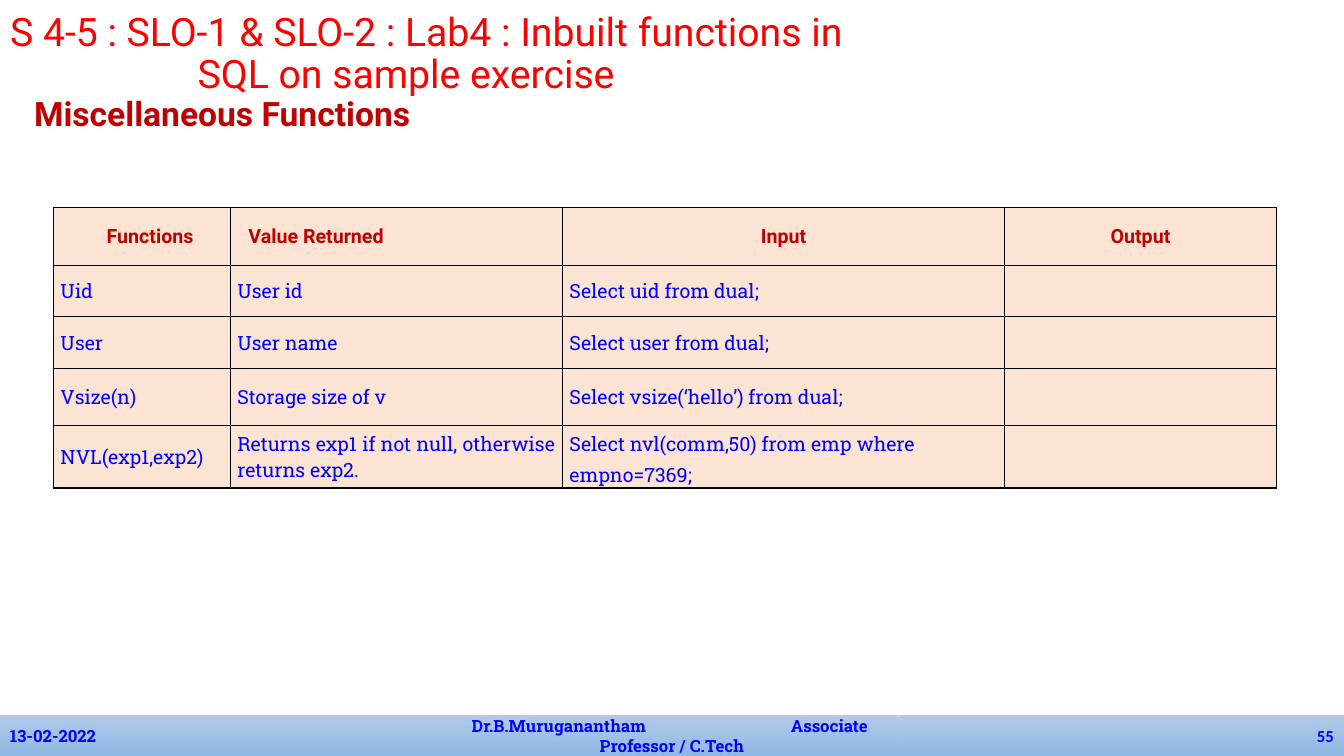
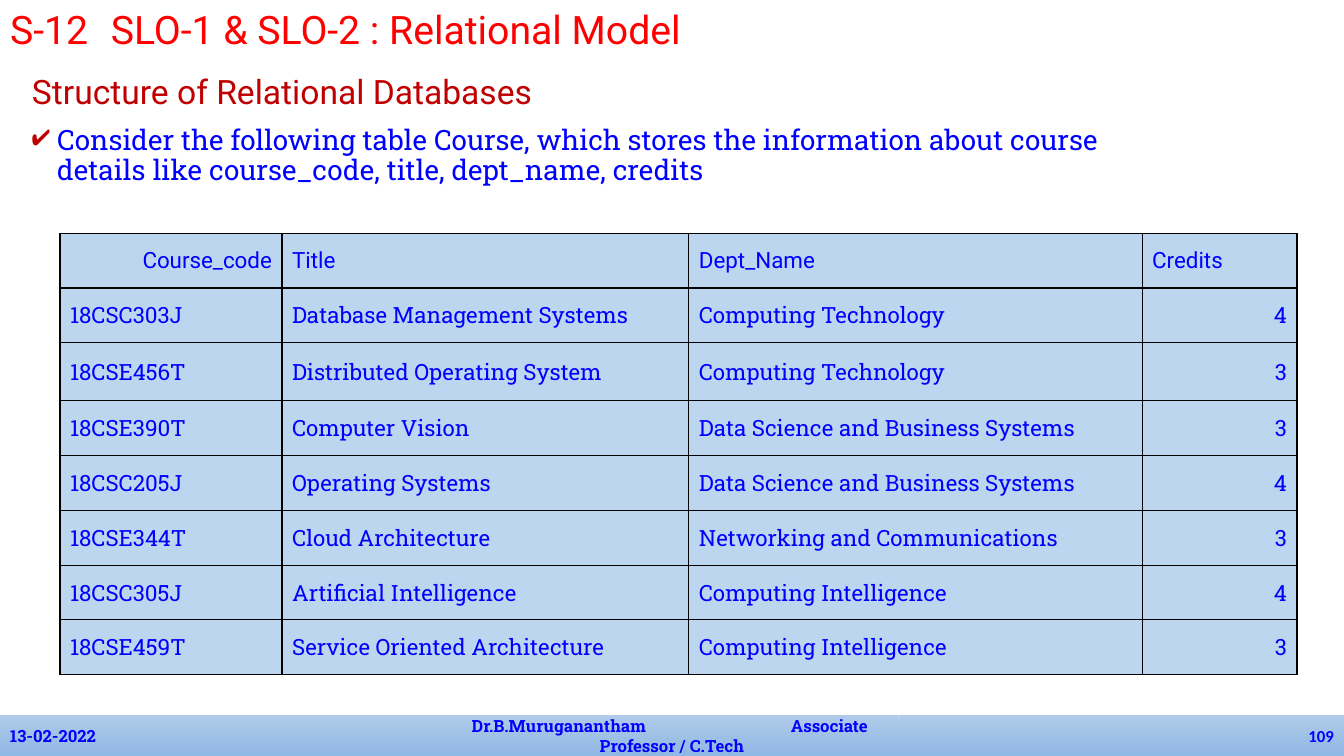
from dataclasses import dataclass

from lxml import etree
from pptx import Presentation
from pptx import util as u
from pptx.dml import color
from pptx.enum import shapes, text
from pptx.oxml import ns

Pt = u.Pt
LEFT, CENTER, RIGHT, JUSTIFY = (
    text.PP_ALIGN.LEFT,
    text.PP_ALIGN.CENTER,
    text.PP_ALIGN.RIGHT,
    text.PP_ALIGN.JUSTIFY,
)


@dataclass(frozen=True)
class Theme:
    """Colours, fonts and type sizes of the deck."""

    red: str = "FF0000"
    crimson: str = "C00000"
    blue: str = "0000FF"
    black: str = "000000"
    peach: str = "FBE4D4"
    sky: str = "BBD6EE"
    band: tuple = ("B0CAE9", "90B8E4")
    sans: str = "Roboto"
    slab: str = "Roboto Slab"
    number: str = "Calibri"
    title_size: int = 28
    heading_size: int = 24
    bullet_size: int = 20
    course_size: int = 16
    function_size: int = 14
    footer_size: int = 12


THEME = Theme()


@dataclass(frozen=True)
class Style:
    """Look of one paragraph."""

    font: str
    size: int
    color: str
    bold: bool = False
    align: int = LEFT
    spacing: float = 1.0


@dataclass(frozen=True)
class Cell:
    """Text, look and side margins of one table cell."""

    text: str
    style: Style
    left: float = 7.2
    right: float = 7.2


def rgb(value):
    """Turn a hex string into a colour."""
    return color.RGBColor.from_string(value)


def add_xml(parent, tag, **attributes):
    """Append one drawing element and return it."""
    return etree.SubElement(parent, ns.qn(tag), attributes)


def format_para(para, words, style):
    """Fill a paragraph and apply its style."""
    para.text = words
    para.alignment = style.align
    para.line_spacing = style.spacing
    font = para.font
    font.name, font.size, font.bold = style.font, Pt(style.size), style.bold
    font.color.rgb = rgb(style.color)


def set_hanging(para, indent):
    """Hang the first line of a paragraph to the left of the others."""
    properties = para._p.get_or_add_pPr()
    properties.set("marL", str(Pt(indent)))
    properties.set("indent", str(-Pt(indent)))
    return properties


def place_title(page, words, box, hanging=0, spacing=1.0):
    """Move and format the title placeholder."""
    title = page.shapes.title
    title.left, title.top, title.width, title.height = map(Pt, box)
    frame = title.text_frame
    frame.word_wrap = True
    frame.auto_size = text.MSO_AUTO_SIZE.NONE
    frame.vertical_anchor = text.MSO_ANCHOR.TOP
    para = frame.paragraphs[0]
    set_hanging(para, hanging)
    style = Style(THEME.sans, THEME.title_size, THEME.red, spacing=spacing)
    format_para(para, words, style)


def add_body(page, box, heading, bold=False, bullet=None):
    """Add a heading and, if given, a ticked point below it."""
    frame = page.shapes.add_textbox(*map(Pt, box)).text_frame
    frame.word_wrap = True
    style = Style(THEME.sans, THEME.heading_size, THEME.crimson, bold, spacing=0.9)
    format_para(frame.paragraphs[0], heading, style)
    if bullet:
        para = frame.add_paragraph()
        properties = set_hanging(para, 18)
        add_xml(add_xml(properties, "a:buClr"), "a:srgbClr", val=THEME.crimson)
        add_xml(properties, "a:buChar", char="✔")
        para.space_before = Pt(10)
        style = Style(THEME.slab, THEME.bullet_size, THEME.blue, spacing=0.9)
        format_para(para, bullet, style)


def add_band(page, box, lines, style, inset=7.2, tab=None):
    """Add one gradient part of the footer with its text."""
    band = page.shapes.add_shape(shapes.MSO_SHAPE.RECTANGLE, *map(Pt, box))
    band.shadow.inherit = False
    band.line.fill.background()
    band.fill.gradient()
    band.fill.gradient_angle = 270
    for stop, value, position in zip(band.fill.gradient_stops, THEME.band, (0, 1)):
        stop.color.rgb = rgb(value)
        stop.position = position
    frame = band.text_frame
    frame.word_wrap = True
    frame.vertical_anchor = text.MSO_ANCHOR.MIDDLE
    frame.margin_left = frame.margin_right = Pt(inset)
    for index, (words, align) in enumerate(lines):
        para = frame.add_paragraph() if index else frame.paragraphs[0]
        if tab and "\t" in words:
            stops = add_xml(para._p.get_or_add_pPr(), "a:tabLst")
            add_xml(stops, "a:tab", pos=str(Pt(tab)), algn="l")
        format_para(para, words, style)
        para.alignment = align


def add_footer(page, number, top=511, height=29):
    """Add the date, author and page number bands."""
    style = Style(THEME.slab, THEME.footer_size, THEME.blue, True)
    numeral = Style(THEME.number, THEME.footer_size, THEME.blue, True)
    side, middle = 318, 324
    author = [
        ("Dr.B.Muruganantham\tAssociate", LEFT),
        ("Professor / C.Tech", CENTER),
    ]
    add_band(page, (0, top, side, height), [("13-02-2022", LEFT)], style)
    add_band(page, (side, top, middle, height), author, style, inset=19, tab=228)
    box = (side + middle, top, side, height)
    add_band(page, box, [(number, RIGHT)], numeral)


def format_cell(cell, content, fill, margin):
    """Give a table cell its border, fill and text."""
    properties = cell._tc.get_or_add_tcPr()
    for side in ("a:lnL", "a:lnR", "a:lnT", "a:lnB"):
        line = add_xml(properties, side, w=str(Pt(1)))
        add_xml(add_xml(line, "a:solidFill"), "a:srgbClr", val=THEME.black)
    cell.fill.solid()
    cell.fill.fore_color.rgb = rgb(fill)
    cell.vertical_anchor = text.MSO_ANCHOR.MIDDLE
    cell.margin_top = cell.margin_bottom = Pt(margin)
    cell.margin_left, cell.margin_right = Pt(content.left), Pt(content.right)
    format_para(cell.text_frame.paragraphs[0], content.text, content.style)


def add_grid(page, corner, widths, heights, rows, fill, margin):
    """Add a bordered table of cells at a corner."""
    box = (*corner, sum(widths), sum(heights))
    frame = page.shapes.add_table(len(heights), len(widths), *map(Pt, box))
    table = frame.table
    table.first_row = table.horz_banding = False
    for column, width in zip(table.columns, widths):
        column.width = Pt(width)
    for row, height, contents in zip(table.rows, heights, rows):
        row.height = Pt(height)
        for cell, content in zip(row.cells, contents):
            format_cell(cell, content, fill, margin)


def function_rows():
    """Build the cells of the function table."""
    size = THEME.function_size

    def head(words, align=LEFT, left=0):
        """Build a header cell."""
        style = Style(THEME.sans, size, THEME.crimson, True, align, 0.98)
        return Cell(words, style, left, 0)

    def entry(words, align=LEFT, spacing=0.96):
        """Build a body cell."""
        style = Style(THEME.slab, size, THEME.blue, False, align, spacing)
        return Cell(words, style, 5, 5 if align == JUSTIFY else 0)

    header = [
        head("Functions", left=38),
        head("Value Returned", left=13),
        head("Input", CENTER),
        head("Output", CENTER),
    ]
    simple = [
        ("Uid", "User id", "Select uid from dual;", ""),
        ("User", "User name", "Select user from dual;", ""),
        ("Vsize(n)", "Storage size of v", "Select vsize(‘hello’) from dual;", ""),
    ]
    last = [
        entry("NVL(exp1,exp2)"),
        entry("Returns exp1 if not null, otherwise returns exp2.", JUSTIFY, 1.0),
        entry("Select nvl(comm,50) from emp where empno=7369;", spacing=1.21),
        entry(""),
    ]
    return [header, *([entry(words) for words in row] for row in simple), last]


def course_rows():
    """Build the cells of the course table."""
    computing = "Computing Technology"
    data = "Data Science and Business Systems"
    intelligence = "Computing Intelligence"
    records = [
        ("Course_code", "Title", "Dept_Name", "Credits"),
        ("18CSC303J", "Database Management Systems", computing, "4"),
        ("18CSE456T", "Distributed Operating System", computing, "3"),
        ("18CSE390T", "Computer Vision", data, "3"),
        ("18CSC205J", "Operating Systems", data, "4"),
        ("18CSE344T", "Cloud Architecture", "Networking and Communications", "3"),
        ("18CSC305J", "Artificial Intelligence", intelligence, "4"),
        ("18CSE459T", "Service Oriented Architecture", intelligence, "3"),
    ]
    rows = []
    for index, record in enumerate(records):
        font = THEME.slab if index else THEME.sans
        aligns = (LEFT, LEFT, LEFT, RIGHT) if index else (RIGHT, LEFT, LEFT, LEFT)
        rows.append([
            Cell(words, Style(font, THEME.course_size, THEME.blue, align=align))
            for words, align in zip(record, aligns)
        ])
    return rows


def build_functions(page):
    """Build the slide on miscellaneous functions."""
    title = "S 4-5 : SLO-1 & SLO-2 : Lab4 : Inbuilt functions in SQL on sample exercise"
    place_title(page, title, (0, 5.4, 620, 66), hanging=134, spacing=0.9)
    add_body(page, (17.3, 66.2, 828, 40), "Miscellaneous Functions", bold=True)
    widths = (126.3, 237.3, 315.9, 194)
    heights = (41.2, 36.7, 37.2, 40.4, 44.8)
    add_grid(page, (38.2, 148.3), widths, heights, function_rows(), THEME.peach, 0)
    add_footer(page, "55")


def build_courses(page):
    """Build the slide on the structure of relational databases."""
    place_title(page, "S-12\tSLO-1 & SLO-2 : Relational Model", (0, 0, 878, 41))
    point = (
        "Consider the following table Course, which stores the information about "
        "course details like course_code, title, dept_name, credits"
    )
    heading = "Structure of Relational Databases"
    add_body(page, (15.8, 50.4, 828, 90), heading, bullet=point)
    widths = (158.7, 290.6, 323.8, 110.6)
    heights = (38.9, 38.9, 41.8, 38.9, 39.6, 38.9, 38.9, 38.9)
    add_grid(page, (42.8, 166.8), widths, heights, course_rows(), THEME.sky, 3.6)
    add_footer(page, "109")


def main():
    """Build and save the deck."""
    deck = Presentation()
    deck.slide_width, deck.slide_height = Pt(960), Pt(540)
    for build in (build_functions, build_courses):
        build(deck.slides.add_slide(deck.slide_layouts[5]))
    deck.save("out.pptx")


if __name__ == "__main__":
    main()
